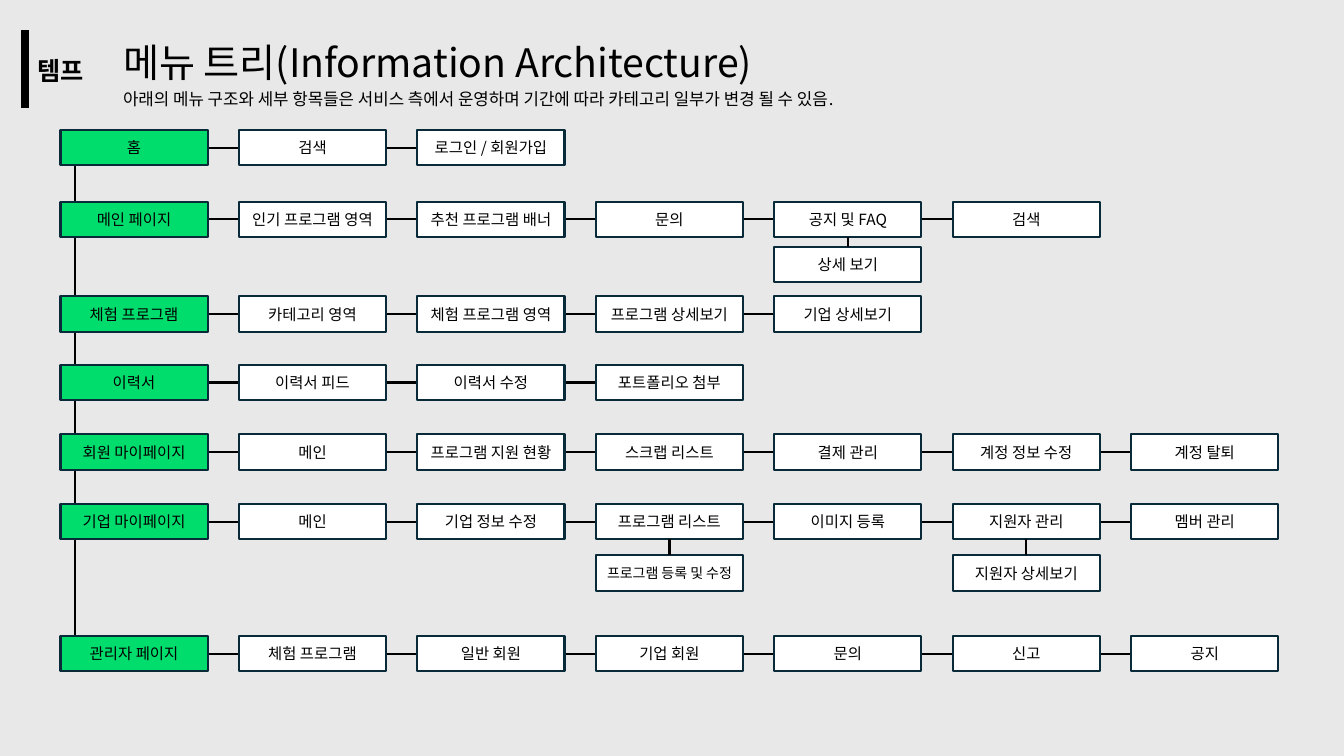
import pptx
import pptx.util
import pptx.dml.color
import pptx.enum.shapes
import pptx.enum.text
import pptx.oxml.ns
from lxml import etree

Inches = pptx.util.Inches
Pt = pptx.util.Pt
qn = pptx.oxml.ns.qn
rgb = pptx.dml.color.RGBColor.from_string
MIDDLE = pptx.enum.text.MSO_ANCHOR.MIDDLE
CENTER = pptx.enum.text.PP_ALIGN.CENTER
FONT = "Noto Sans CJK KR"


def style_run(run, size):
    run.font.size = Pt(size)
    run.font.name = FONT
    run.font.color.rgb = rgb("000000")
    etree.SubElement(run.font._element, qn("a:ea"), typeface=FONT)


def add_line(x1, y1, x2, y2):
    line = slide.shapes.add_connector(
        pptx.enum.shapes.MSO_CONNECTOR.STRAIGHT,
        Inches(x1), Inches(y1), Inches(x2), Inches(y2))
    line.line.color.rgb = rgb("000000")
    line.line.width = Pt(1.5)
    etree.SubElement(line._element.spPr, qn("a:effectLst"))
    return line


prs = pptx.Presentation()
prs.slide_width = Inches(13.33)
prs.slide_height = Inches(7.5)
slide = prs.slides.add_slide(prs.slide_layouts[5])
slide.background.fill.solid()
slide.background.fill.fore_color.rgb = rgb("E8E8E8")

title = slide.shapes.title
title.left, title.top = Inches(1.12), Inches(0.23)
title.width, title.height = Inches(11.96), Inches(0.91)
title.text_frame.text = (
    "메뉴 트리(Information Architecture)\v"
    "아래의 메뉴 구조와 세부 항목들은 서비스 측에서 운영하며 기간에 따라 카테고리 일부가 변경 될 수 있음.")
title.text_frame.auto_size = pptx.enum.text.MSO_AUTO_SIZE.NONE
title.text_frame.vertical_anchor = MIDDLE
heading = title.text_frame.paragraphs[0]
heading.alignment = pptx.enum.text.PP_ALIGN.LEFT
heading.line_spacing = 1.2
for run, size in zip(heading.runs, (28, 12)):
    style_run(run, size)
etree.SubElement(heading._p.find(qn("a:br")), qn("a:rPr"), sz="2800")

tag_table = slide.shapes.add_table(
    1, 1, Inches(0.25), Inches(0.3), Inches(0.7), Inches(0.77)).table
tag_table.first_row = False
tag_table.horz_banding = False
tag = tag_table.cell(0, 0)
tag.fill.background()
tag.vertical_anchor = MIDDLE
tag.text_frame.text = "템프"
tag_text = tag.text_frame.paragraphs[0]
tag_text.alignment = CENTER
style_run(tag_text.runs[0], 18)
tag_text.runs[0].font.bold = True
for position, side in enumerate(("lnL", "lnR", "lnT", "lnB")):
    border = etree.Element(qn("a:" + side), w=str(Pt(6)))
    if side == "lnL":
        fill = etree.SubElement(border, qn("a:solidFill"))
        etree.SubElement(fill, qn("a:srgbClr"), val="000000")
    else:
        etree.SubElement(border, qn("a:noFill"))
    tag._tc.get_or_add_tcPr().insert(position, border)

LEFT, PITCH, BOX_W, BOX_H = 0.6, 1.77, 1.46, 0.35
menu_rows = [
    (1.29, ["홈", "검색", "로그인 / 회원가입"]),
    (2.0, ["메인 페이지", "인기 프로그램 영역", "추천 프로그램 배너", "문의", "공지 및 FAQ", "검색"]),
    (2.94, ["체험 프로그램", "카테고리 영역", "체험 프로그램 영역", "프로그램 상세보기", "기업 상세보기"]),
    (3.62, ["이력서", "이력서 피드", "이력서 수정", "포트폴리오 첨부"]),
    (4.31, ["회원 마이페이지", "메인", "프로그램 지원 현황", "스크랩 리스트", "결제 관리",
            "계정 정보 수정", "계정 탈퇴"]),
    (5.0, ["기업 마이페이지", "메인", "기업 정보 수정", "프로그램 리스트", "이미지 등록",
           "지원자 관리", "멤버 관리"]),
    (6.31, ["관리자 페이지", "체험 프로그램", "일반 회원", "기업 회원", "문의", "신고", "공지"]),
]
submenus = [
    (1, 4, 2.45, "상세 보기", 11),
    (5, 3, 5.51, "프로그램 등록 및 수정", 10),
    (5, 5, 5.51, "지원자 상세보기", 11),
]

add_line(0.74, 1.46, 0.74, 6.31)
row_lines = []
menu_items = []
for row, (top, labels) in enumerate(menu_rows):
    middle = top + BOX_H / 2
    row_lines.append(add_line(LEFT + BOX_W, middle, LEFT + PITCH * (len(labels) - 1), middle))
    for column, label in enumerate(labels):
        menu_items.append(((row, column), top, label, 11))
for row, column, top, label, size in submenus:
    menu_items.append((("sub", row, column), top, label, size))

boxes = {}
for key, top, label, size in menu_items:
    column = key[-1]
    box = slide.shapes.add_shape(
        pptx.enum.shapes.MSO_SHAPE.RECTANGLE,
        Inches(LEFT + PITCH * column), Inches(top), Inches(BOX_W), Inches(BOX_H))
    box.shadow.inherit = False
    box.fill.solid()
    box.fill.fore_color.rgb = rgb("FFFFFF" if column else "00DD6D")
    box.line.color.rgb = rgb("092A39")
    box.line.width = Pt(1.5)
    box.text_frame.text = label
    box.text_frame.word_wrap = True
    box.text_frame.vertical_anchor = MIDDLE
    box.text_frame.paragraphs[0].alignment = CENTER
    style_run(box.text_frame.paragraphs[0].runs[0], size)
    boxes[key] = box

for row, row_line in enumerate(row_lines):
    row_line.begin_connect(boxes[row, 0], 3)
    row_line.end_connect(boxes[row, len(menu_rows[row][1]) - 1], 1)

for row, column, top, label, size in submenus:
    center = LEFT + PITCH * column + BOX_W / 2
    drop = add_line(center, menu_rows[row][0] + BOX_H, center, top)
    drop.begin_connect(boxes[row, column], 2)
    drop.end_connect(boxes["sub", row, column], 0)

prs.save("out.pptx")
